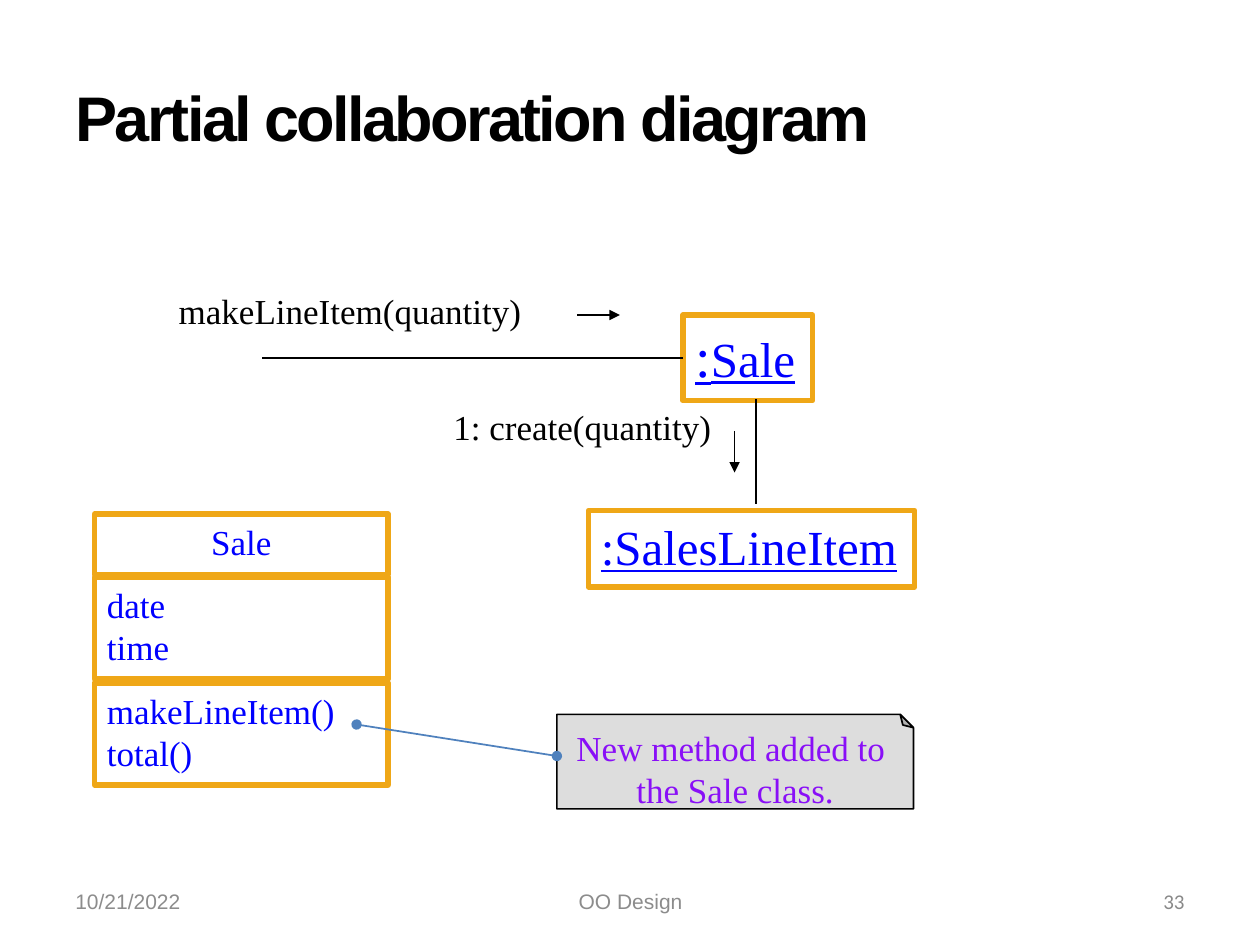
from lxml.etree import SubElement
from pptx import Presentation
from pptx.dml.color import RGBColor
from pptx.enum.shapes import MSO_CONNECTOR, MSO_SHAPE
from pptx.enum.text import MSO_ANCHOR, MSO_AUTO_SIZE, PP_ALIGN
from pptx.oxml.ns import qn
from pptx.util import Inches, Pt

COLORS = {
    "black": "000000", "blue": "0000FF", "orange": "EFA717", "purple": "890FF7",
    "note": "DDDDDD", "link": "4F81BD", "footer": "8C8C8C", "number": "898989",
}
SERIF = "Times New Roman"
LEFT, CENTER, RIGHT = PP_ALIGN.LEFT, PP_ALIGN.CENTER, PP_ALIGN.RIGHT
GROW = MSO_AUTO_SIZE.SHAPE_TO_FIT_TEXT

deck = Presentation()
deck.slide_width, deck.slide_height = Inches(10), Inches(7.5)
page = deck.slides.add_slide(deck.slide_layouts[6])


def add_text(shape, lines, color, align=LEFT, frame=None, **font):
    """Write lines into shape; a line is a list of (text, size) spans."""
    text_frame = shape.text_frame
    frame_format = {"word_wrap": True, "vertical_anchor": MSO_ANCHOR.TOP, **(frame or {})}
    for name, value in frame_format.items():
        setattr(text_frame, name, value)
    for index, line in enumerate(lines):
        para = text_frame.add_paragraph() if index else text_frame.paragraphs[0]
        para.alignment = align
        for text, size in line:
            span = para.add_run()
            span.text = text
            for name, value in {"name": SERIF, "size": Pt(size), **font}.items():
                setattr(span.font, name, value)
            span.font.color.rgb = RGBColor.from_string(COLORS[color])


def add_line(start, end, color="black", **ends):
    """Draw a straight line; ends maps headEnd or tailEnd to an arrowhead type."""
    line = page.shapes.add_connector(
        MSO_CONNECTOR.STRAIGHT, *(Inches(value) for value in start + end))
    line.line.color.rgb = RGBColor.from_string(COLORS[color])
    line.line.width = Pt(1)
    properties = line._element.spPr
    for tag, kind in ends.items():
        SubElement(properties.find(qn("a:ln")), qn("a:" + tag), type=kind)
    SubElement(properties, qn("a:effectLst"))
    return line


# Title, footer and message labels
middle = {"vertical_anchor": MSO_ANCHOR.MIDDLE}
grow = {"auto_size": GROW}
labels = [
    ((0.5, 6.95, 2.33, 0.4), "10/21/2022", 12, "footer", LEFT, middle, {"name": "Arial"}),
    ((3.42, 6.95, 3.17, 0.4), "OO Design", 12, "footer", CENTER, middle, {"name": "Arial"}),
    ((7.17, 6.95, 2.33, 0.4), "33", 12, "number", RIGHT, middle, {"name": "Calibri"}),
    ((0.5, 0.3, 9, 1.25), "Partial collaboration diagram", 36, "black", LEFT, middle,
     {"name": "Arial", "bold": True}),
    ((1.25, 2.25, 3.19, 0.43), " makeLineItem(quantity)", 20, "black", LEFT, grow, {}),
    ((3.5, 3.17, 2.25, 0.43), "1: create(quantity)", 20, "black", LEFT, grow, {}),
]
for place, text, size, color, align, frame, font in labels:
    box = page.shapes.add_textbox(*(Inches(value) for value in place))
    add_text(box, [[(text, size)]], color, align, frame, **font)
    if font.get("bold"):
        box.text_frame.paragraphs[0].runs[0].font._element.set("spc", "-150")

# Objects and the compartments of the Sale class
object_frame = {"word_wrap": False, "auto_size": GROW}
underlined = {"underline": True}
boxes = [
    ((5.42, 2.5, 1.03, 0.68), [[(":", 32), ("Sale", 28)]], LEFT, object_frame, underlined),
    ((4.67, 4.05, 2.59, 0.61), [[(":SalesLineItem", 28)]], LEFT, object_frame, underlined),
    ((0.75, 4.08, 2.33, 0.48), [[("Sale", 20)]], CENTER, grow, {}),
    ((0.75, 4.58, 2.33, 0.81), [[("date", 20)], [("time", 20)]], LEFT, grow, {}),
    ((0.75, 5.42, 2.33, 0.81), [[("makeLineItem()", 20)], [("total()", 20)]], LEFT, grow, {}),
]
rectangles = []
for place, lines, align, frame, font in boxes:
    box = page.shapes.add_shape(MSO_SHAPE.RECTANGLE, *(Inches(value) for value in place))
    box.shadow.inherit = False
    box.fill.background()
    box.line.color.rgb = RGBColor.from_string(COLORS["orange"])
    box.line.width = Pt(3)
    add_text(box, lines, "blue", align, frame, **font)
    rectangles.append(box)

# Note with its fold at the top; the text is turned back upright
note = page.shapes.add_shape(
    MSO_SHAPE.FOLDED_CORNER, Inches(4.42), Inches(5.67), Inches(2.83), Inches(0.75))
fold = note._element.spPr.find(qn("a:prstGeom")).get_or_add_avLst()
SubElement(fold, qn("a:gd"), name="adj", fmla="val 14000")
note.shadow.inherit = False
note.fill.solid()
note.fill.fore_color.rgb = RGBColor.from_string(COLORS["note"])
note.line.color.rgb = RGBColor.from_string(COLORS["black"])
note.line.width = Pt(1)
note._element.spPr.find(qn("a:xfrm")).set("flipV", "1")
add_text(note, [[("New method added to ", 20)], [("the Sale class.", 20)]], "purple", CENTER,
         {"word_wrap": False, **middle})
note.text_frame._txBody.find(qn("a:bodyPr")).set("rot", "10800000")

# Links and message arrows
sale_link = add_line((2.08, 2.84), (5.42, 2.84))
sale_link.end_connect(rectangles[0], 1)
add_line((6, 3.17), (6, 4))
add_line((4.58, 2.5), (4.92, 2.5), tailEnd="triangle")
add_line((5.83, 3.42), (5.83, 3.75), tailEnd="triangle")
add_line((4.42, 6), (2.83, 5.75), "link", headEnd="oval", tailEnd="oval")

deck.save("out.pptx")
